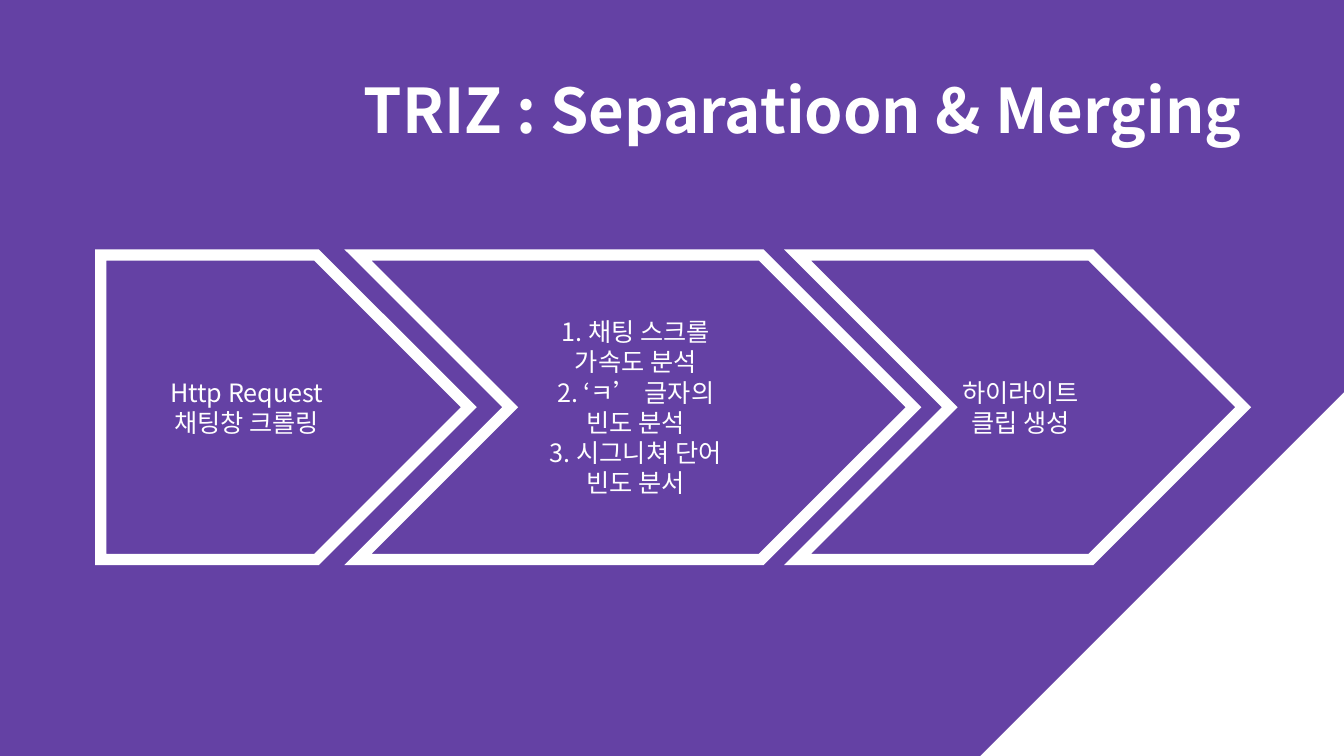
from lxml.etree import SubElement
from pptx import Presentation
from pptx.dml.color import RGBColor
from pptx.enum.shapes import MSO_SHAPE as Preset
from pptx.enum.text import MSO_ANCHOR as Anchor, MSO_AUTO_SIZE as AutoSize, PP_ALIGN as Align
from pptx.oxml.ns import qn
from pptx.util import Inches, Pt

PURPLE = RGBColor(0x64, 0x41, 0xA4)
WHITE = RGBColor(0xFF, 0xFF, 0xFF)
FONT = "Noto Sans CJK KR"
WIDTH, HEIGHT = Inches(13.33), Inches(7.5)
STEP_TOP, STEP_HEIGHT = Inches(2.53), Inches(3.02)

TITLE_FORMAT = {"name": FONT, "size": Pt(44), "bold": True}
STEP_FORMAT = {"name": FONT, "size": Pt(18), "bold": False}

STEPS = [
    (Preset.PENTAGON, 1, 3.65, ["Http Request", "채팅창 크롤링"]),
    (Preset.CHEVRON, 3.55, 5.51, [
        "1. 채팅 스크롤", "가속도 분석",
        "2. ‘ㅋ’ 글자의", "빈도 분석",
        "3. 시그니쳐 단어", "빈도 분서",
    ]),
    (Preset.CHEVRON, 7.91, 4.42, ["하이라이트", "클립 생성"]),
]


def write_lines(frame, lines, align, font_format):
    frame.word_wrap = True
    frame.vertical_anchor = Anchor.MIDDLE
    for index, line in enumerate(lines):
        paragraph = frame.add_paragraph() if index else frame.paragraphs[0]
        paragraph.alignment = align
        run = paragraph.add_run()
        run.text = line
        for attribute, value in font_format.items():
            setattr(run.font, attribute, value)
        run.font.color.rgb = WHITE
        east_asian = SubElement(run.font._element, qn("a:ea"))
        east_asian.set("typeface", FONT)
        run.font._element.find(qn("a:latin")).addnext(east_asian)


def add_backdrop(slide):
    backdrop = slide.shapes.add_shape(Preset.SNIP_1_RECTANGLE, 0, 0, WIDTH, HEIGHT)
    backdrop.adjustments[0] = 0.481
    backdrop.shadow.inherit = False
    backdrop.fill.solid()
    backdrop.fill.fore_color.rgb = PURPLE
    backdrop.line.fill.background()
    backdrop._element.spPr.find(qn("a:xfrm")).set("flipV", "1")
    slide.shapes._spTree.insert(2, backdrop._element)


def add_title(slide, text):
    title = slide.shapes.title
    place = {"left": 0.92, "top": 0.4, "width": 11.5, "height": 1.45}
    for attribute, inches in place.items():
        setattr(title, attribute, Inches(inches))
    title.text_frame.auto_size = AutoSize.NONE
    write_lines(title.text_frame, [text], Align.RIGHT, TITLE_FORMAT)
    title.text_frame.paragraphs[0].line_spacing = 0.9


def add_step(process, preset, left, width, lines):
    step = process.shapes.add_shape(preset, Inches(left), STEP_TOP, Inches(width), STEP_HEIGHT)
    step.shadow.inherit = False
    step.fill.background()
    step.line.color.rgb = WHITE
    step.line.width = Pt(8)
    miter = SubElement(step._element.spPr.find(qn("a:ln")), qn("a:miter"))
    miter.set("lim", "800000")
    write_lines(step.text_frame, lines, Align.CENTER, STEP_FORMAT)


def main():
    deck = Presentation()
    deck.slide_width, deck.slide_height = WIDTH, HEIGHT
    slide = deck.slides.add_slide(deck.slide_layouts[5])
    add_backdrop(slide)
    add_title(slide, "TRIZ : Separatioon & Merging")
    process = slide.shapes.add_group_shape()
    for step in STEPS:
        add_step(process, *step)
    deck.save("out.pptx")


if __name__ == "__main__":
    main()
